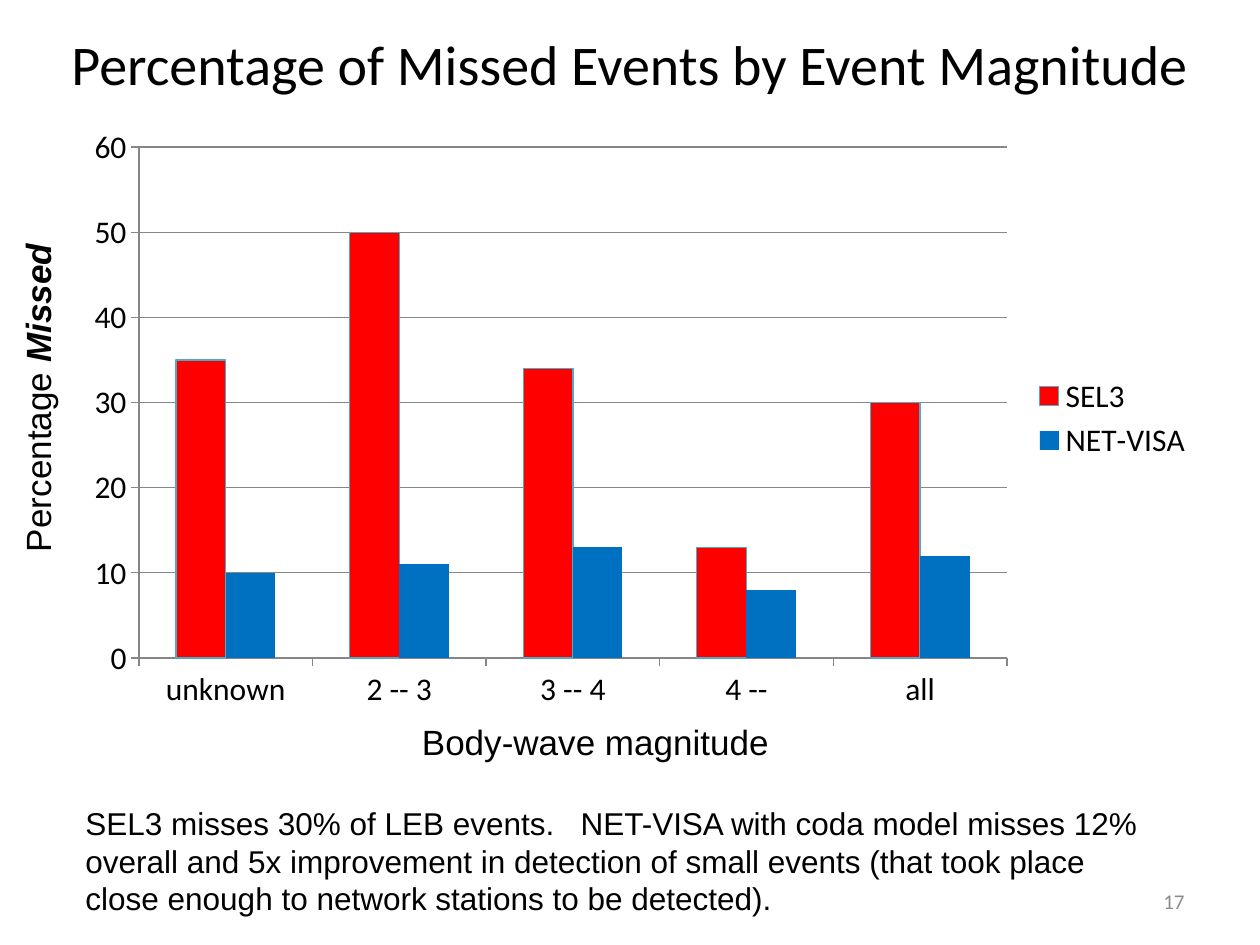
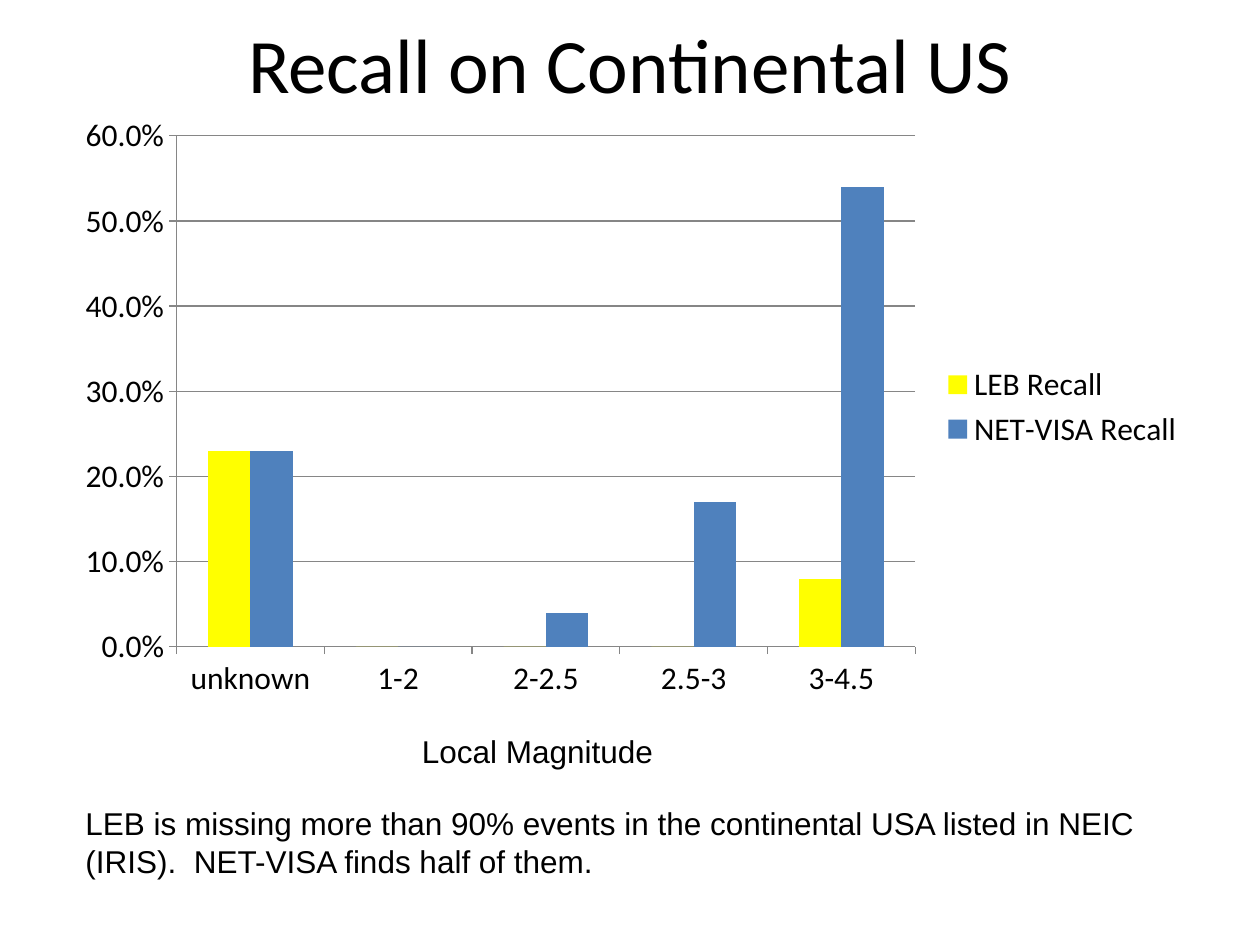
from dataclasses import dataclass

from pptx import Presentation
from pptx.chart.data import CategoryChartData
from pptx.dml.color import RGBColor
from pptx.enum.chart import XL_CHART_TYPE, XL_LEGEND_POSITION, XL_TICK_MARK
from pptx.enum.text import MSO_ANCHOR, MSO_AUTO_SIZE, PP_ALIGN
from pptx.util import Inches, Pt

BLACK, GRAY, GRID = "000000", "8C8C8C", "868686"
HEAD, BODY = "Calibri", "Arial"


@dataclass
class Run:
    text: str
    size: float = 18
    font: str = BODY
    color: str = BLACK
    strong: bool = False


@dataclass
class Label:
    box: tuple[float, float, float, float]
    runs: list[Run]
    wrap: bool = False
    turned: bool = False
    align: PP_ALIGN = PP_ALIGN.LEFT
    anchor: MSO_ANCHOR = MSO_ANCHOR.TOP


@dataclass
class Series:
    name: str
    values: list[float]
    fill: str
    line: str = ""


@dataclass
class Plot:
    left: float
    top: float
    cats: list[str]
    series: list[Series]
    top_mark: float
    step: float
    form: str = "General"


@dataclass
class Page:
    title: Run
    plot: Plot
    labels: list[Label]


def paint(code: str) -> RGBColor:
    return RGBColor.from_string(code)


def write(frame, runs: list[Run], align: PP_ALIGN) -> None:
    para = frame.paragraphs[0]
    para.alignment = align
    for item in runs:
        run = para.add_run()
        run.text = item.text
        font = run.font
        font.name, font.size = item.font, Pt(item.size)
        font.color.rgb = paint(item.color)
        if item.strong:
            font.bold = font.italic = True


def add_title(slide, run: Run) -> None:
    title = slide.shapes.title
    title.left, title.top = Inches(0), Inches(0)
    title.width, title.height = Inches(10), Inches(1)
    frame = title.text_frame
    frame.auto_size = MSO_AUTO_SIZE.NONE
    frame.vertical_anchor = MSO_ANCHOR.MIDDLE
    write(frame, [run], PP_ALIGN.CENTER)


def add_label(slide, label: Label) -> None:
    frame = slide.shapes.add_textbox(*map(Inches, label.box)).text_frame
    frame.word_wrap = label.wrap
    frame.vertical_anchor = label.anchor
    if label.turned:
        frame._txBody.bodyPr.set("vert", "vert270")
    write(frame, label.runs, label.align)


def add_plot(slide, plot: Plot) -> None:
    data = CategoryChartData(number_format=plot.form)
    data.categories = plot.cats
    for item in plot.series:
        data.add_series(item.name, item.values)
    box = map(Inches, (plot.left, plot.top, 9, 4.8))
    chart = slide.shapes.add_chart(XL_CHART_TYPE.COLUMN_CLUSTERED, *box, data).chart
    chart.has_title = False
    chart.font.name, chart.font.size = HEAD, Pt(18)
    chart.font.color.rgb = paint(BLACK)
    chart.has_legend = True
    chart.legend.position = XL_LEGEND_POSITION.RIGHT
    chart.legend.include_in_layout = False

    scale = chart.value_axis
    scale.minimum_scale, scale.maximum_scale = 0, plot.top_mark
    scale.major_unit = plot.step
    scale.has_major_gridlines = True
    scale.tick_labels.number_format = plot.form
    scale.tick_labels.number_format_is_linked = False
    for axis in (scale, chart.category_axis):
        axis.major_tick_mark = XL_TICK_MARK.OUTSIDE
    for part in (scale, chart.category_axis, scale.major_gridlines):
        part.format.line.color.rgb = paint(GRID)
        part.format.line.width = Pt(0.75)

    bars = chart.plots[0]
    bars.vary_by_categories = False
    bars.gap_width, bars.overlap = 150, 0
    for item, bar in zip(plot.series, bars.series):
        bar.invert_if_negative = False
        bar.format.fill.solid()
        bar.format.fill.fore_color.rgb = paint(item.fill)
        if item.line:
            bar.format.line.color.rgb = paint(item.line)
            bar.format.line.width = Pt(0.75)
        else:
            bar.format.line.fill.background()


def note(text: str, height: float) -> Label:
    return Label((0.58, 6.33, 8.58, height), [Run(text)], wrap=True)


MISSED = Page(
    Run("Percentage of Missed Events by Event Magnitude", 32, HEAD),
    Plot(
        0.57, 0.92, ["unknown", "2 -- 3", "3 -- 4", "4 --", "all"],
        [
            Series("SEL3", [35, 50, 34, 13, 30], "FF0000", "4BACC6"),
            Series("NET-VISA", [10, 11, 13, 8, 12], "0070C0"),
        ],
        60, 10,
    ),
    [
        Label((7.17, 6.95, 2.33, 0.4), [Run("17", 12, HEAD, GRAY)], wrap=True,
              align=PP_ALIGN.RIGHT, anchor=MSO_ANCHOR.MIDDLE),
        Label((0.08, 1.92, 0.54, 2.56),
              [Run("Percentage ", 20), Run("Missed", 20, strong=True)], turned=True),
        Label((3.25, 5.67, 2.98, 0.44), [Run("Body-wave magnitude", 20)]),
        note("SEL3 misses 30% of LEB events.   NET-VISA with coda model misses 12% "
             "overall and 5x improvement in detection of small events (that took "
             "place close enough to network stations to be detected).", 1.01),
    ],
)

RECALL = Page(
    Run("Recall on Continental US", 44, HEAD),
    Plot(
        0.5, 0.83, ["unknown", "1-2", "2-2.5", "2.5-3", "3-4.5"],
        [
            Series("LEB Recall", [0.23, 0, 0, 0, 0.08], "FFFF00"),
            Series("NET-VISA Recall", [0.23, 0, 0.04, 0.17, 0.54], "4F81BD"),
        ],
        0.6, 0.1, "0.0%",
    ),
    [
        Label((3.25, 5.76, 2.05, 0.4), [Run("Local Magnitude")]),
        note("LEB is missing more than 90% events in the continental USA listed in "
             "NEIC (IRIS).  NET-VISA finds half of them.", 0.71),
    ],
)


def main() -> None:
    """Build the two result slides and save them."""
    deck = Presentation()
    deck.slide_width, deck.slide_height = Inches(10), Inches(7.5)
    for page in (MISSED, RECALL):
        slide = deck.slides.add_slide(deck.slide_layouts[5])
        add_title(slide, page.title)
        add_plot(slide, page.plot)
        for label in page.labels:
            add_label(slide, label)
    deck.save("out.pptx")


if __name__ == "__main__":
    main()
